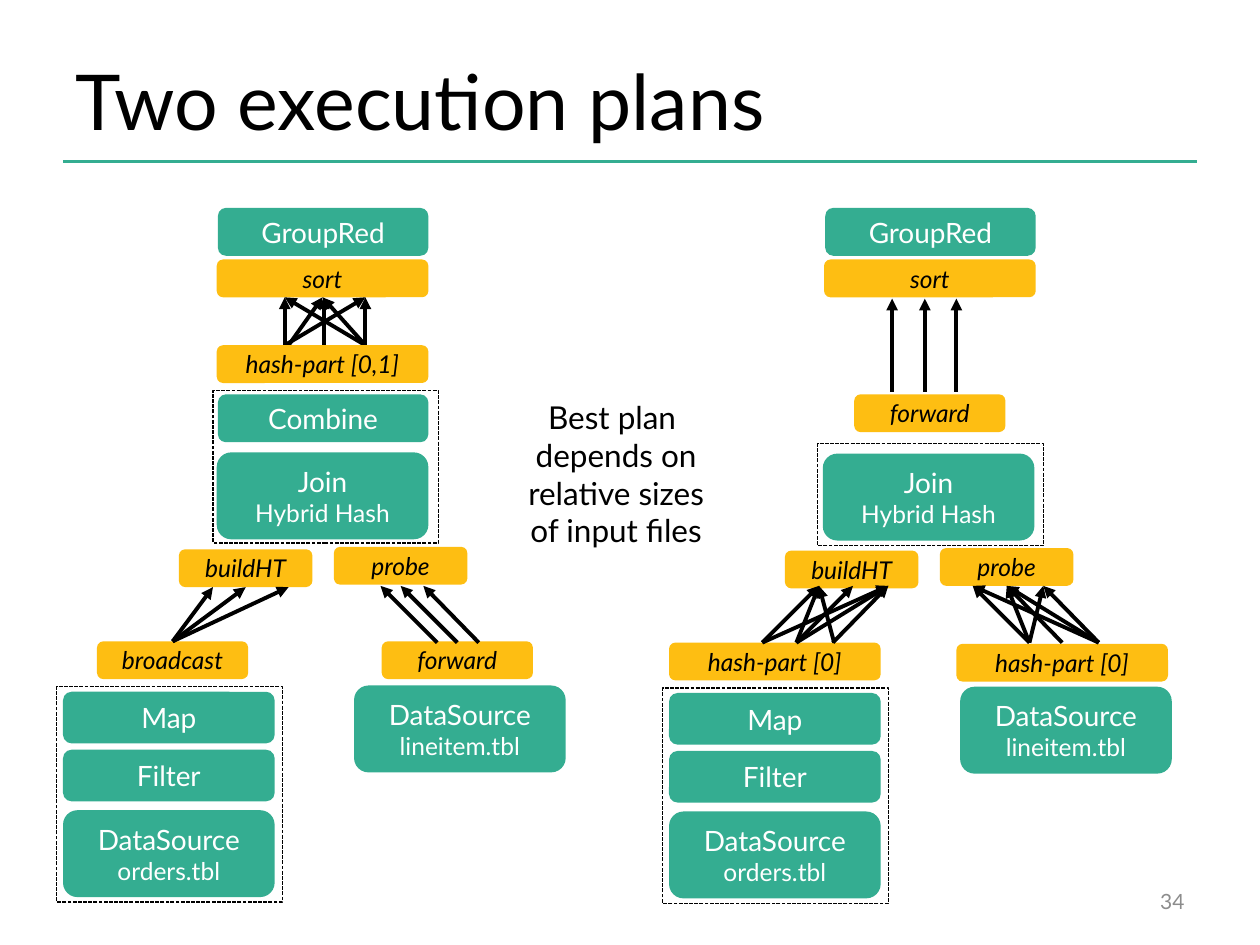
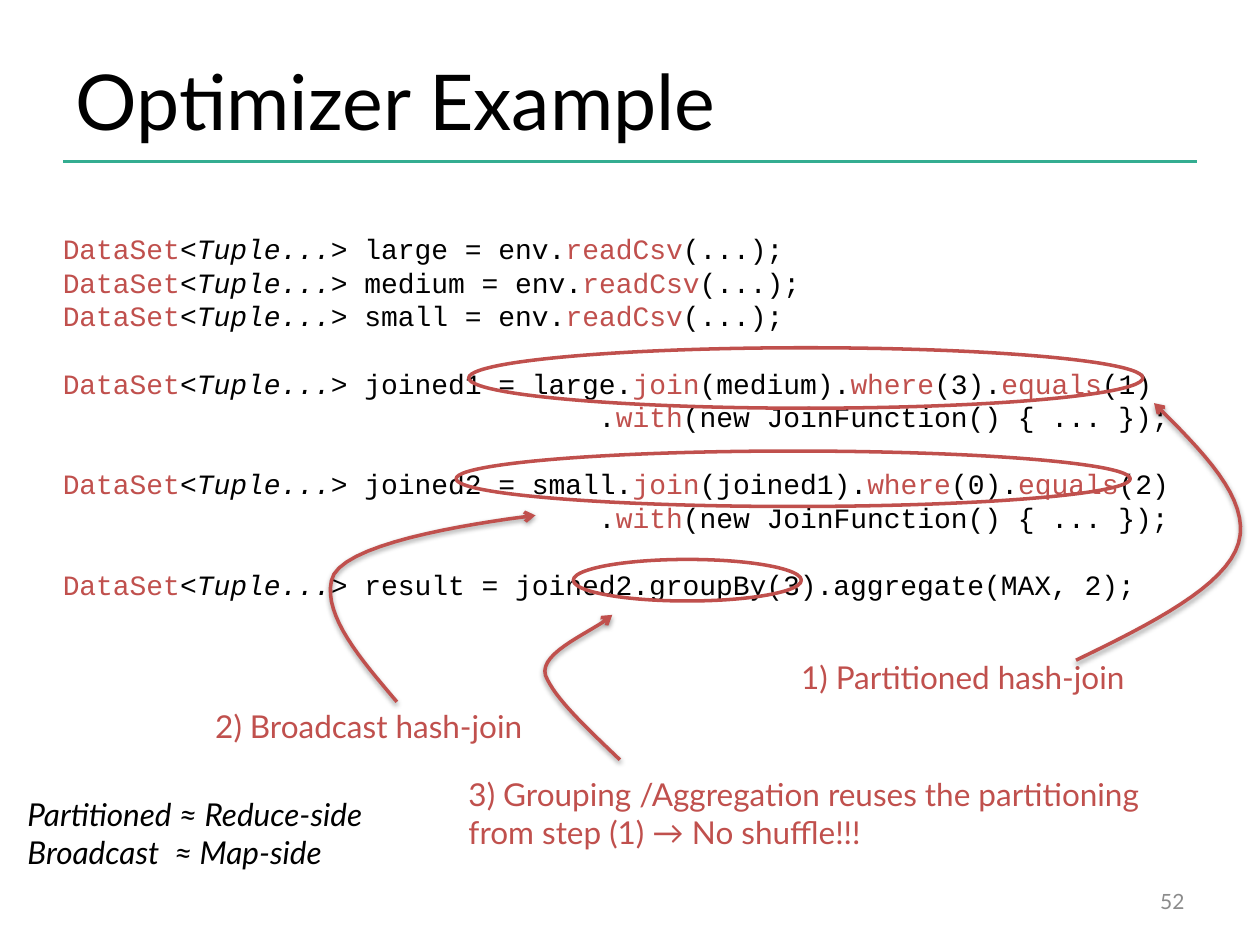
from lxml.etree import SubElement
from pptx import Presentation
from pptx.dml.color import RGBColor
from pptx.enum.dml import MSO_LINE
from pptx.enum.shapes import MSO_CONNECTOR, MSO_SHAPE
from pptx.enum.text import MSO_ANCHOR, PP_ALIGN
from pptx.oxml import parse_xml
from pptx.oxml.ns import nsdecls, qn
from pptx.util import Cm, Pt

GREEN, AMBER, RED = "34AD91", "FEBE12", "C0504D"
BLACK, WHITE, GREY = "000000", "FFFFFF", "8C8C8C"
SANS, MONO = "Lato", "Courier New"
CODE_LINE = 19.2
KEYWORDS = ("DataSet", "readCsv", "join", "where", "equals", "with")
CODE_STYLES = {word: {"color": RED} for word in KEYWORDS} | {"Tuple...": {"italic": True}}
CODE_BLOCKS = [
    [
        "DataSet|<|Tuple...|> large = env.|readCsv|(...);",
        "DataSet|<|Tuple...|> medium = env.|readCsv|(...);",
        "DataSet|<|Tuple...|> small = env.|readCsv|(...);",
    ],
    [
        "DataSet|<|Tuple...|> joined1 = large.|join|(medium).|where|(3).|equals|(1)",
        "                                .|with|(new JoinFunction() { ... });",
    ],
    [
        "DataSet|<|Tuple...|> joined2 = small.|join|(joined1).|where|(0).|equals|(2)",
        "                                .|with|(new JoinFunction() { ... });",
    ],
    ["DataSet|<|Tuple...|> result = joined2.groupBy(3).aggregate(MAX, 2);"],
]
SHADOW = (
    f'<a:effectLst {nsdecls("a")}><a:outerShdw blurRad="39370" dist="20320" dir="5400000" '
    'rotWithShape="0"><a:srgbClr val="000000"><a:alpha val="38000"/></a:srgbClr>'
    "</a:outerShdw></a:effectLst>"
)


def inch(value):
    """Turn inches on the slide grid into a length."""
    return Cm(round(value * 2.54, 3))


def rgb(value):
    """Turn a hex string into a colour."""
    return RGBColor.from_string(value)


def format_run(run, size=18, color=BLACK, font=SANS, italic=False):
    """Set the look of one run."""
    run.font.name, run.font.size, run.font.italic = font, Pt(size), italic
    run.font.color.rgb = rgb(color)


def write(paragraph, text, align=PP_ALIGN.LEFT, **style):
    """Put formatted text into a paragraph."""
    paragraph.text = text
    paragraph.alignment = align
    for run in paragraph.runs:
        format_run(run, **style)


def paragraphs(frame, count):
    """Give a text frame the wanted number of paragraphs."""
    while len(frame.paragraphs) < count:
        frame.add_paragraph()
    return frame.paragraphs


def curve_points(start, segments, steps=16):
    """List the points along joined cubic curves."""
    points = [start]
    for control_1, control_2, end in segments:
        begin = points[-1]
        for step in range(1, steps + 1):
            t = step / steps
            weights = ((1 - t) ** 3, 3 * t * (1 - t) ** 2, 3 * t * t * (1 - t), t ** 3)
            corners = (begin, control_1, control_2, end)
            points.append(tuple(sum(w * c[axis] for w, c in zip(weights, corners)) for axis in (0, 1)))
    return points


class Deck:
    """Hold the presentation, its style and the current slide."""

    def __init__(self):
        """Start an empty presentation."""
        self.presentation = Presentation()
        self.presentation.slide_width = inch(10)
        self.presentation.slide_height = inch(7.5)

    def start_slide(self, title, number):
        """Add a slide with its title, rule and number."""
        self.slide = self.presentation.slides.add_slide(self.presentation.slide_layouts[5])
        shape = self.slide.shapes.title
        shape.left, shape.top, shape.width, shape.height = map(inch, (0.5, 0.3, 9, 0.98))
        shape.text_frame.vertical_anchor = MSO_ANCHOR.MIDDLE
        write(shape.text_frame.paragraphs[0], title, size=44)
        self.line((0.5, 1.28), (9.5, 1.28), GREEN, 2)
        self.text((7.17, 6.95, 2.33, 0.4), [number], anchor=MSO_ANCHOR.MIDDLE,
                  align=PP_ALIGN.RIGHT, size=12, color=GREY)

    def style_line(self, line, color, width, head=None):
        """Set the colour, width and arrowhead of a line."""
        line.color.rgb = rgb(color)
        line.width = Pt(width)
        if head:
            SubElement(line._get_or_add_ln(), qn("a:tailEnd"), type=head)

    def line(self, start, end, color=BLACK, width=2.25, head=None):
        """Draw a straight line."""
        connector = self.slide.shapes.add_connector(
            MSO_CONNECTOR.STRAIGHT, *map(inch, (*start, *end)))
        self.style_line(connector.line, color, width, head)
        SubElement(connector._element.spPr, qn("a:effectLst"))

    def arrows(self, start_y, end_y, pairs):
        """Draw arrows between two levels, one for each pair of x values."""
        for start_x, end_x in pairs:
            self.line((start_x, start_y), (end_x, end_y), head="triangle")

    def text(self, place, lines, anchor=MSO_ANCHOR.TOP, wrap=True, **style):
        """Add a text box."""
        frame = self.slide.shapes.add_textbox(*map(inch, place)).text_frame
        frame.word_wrap = wrap
        frame.vertical_anchor = anchor
        for paragraph, line in zip(paragraphs(frame, len(lines)), lines):
            write(paragraph, line, **style)

    def code(self, place, blocks):
        """Add highlighted code with a gap between blocks."""
        frame = self.slide.shapes.add_textbox(*map(inch, place)).text_frame
        frame.word_wrap = True
        lines = [(line, row == 0 and block is not blocks[0])
                 for block in blocks for row, line in enumerate(block)]
        for paragraph, (line, gap) in zip(paragraphs(frame, len(lines)), lines):
            paragraph.line_spacing = Pt(CODE_LINE)
            if gap:
                paragraph.space_before = Pt(CODE_LINE)
            for piece in line.split("|"):
                run = paragraph.add_run()
                run.text = piece
                format_run(run, size=16, font=MONO, **CODE_STYLES.get(piece, {}))

    def box(self, place, fill, lines, sizes, **style):
        """Add a filled rounded box with centred text."""
        shape = self.slide.shapes.add_shape(MSO_SHAPE.ROUNDED_RECTANGLE, *map(inch, place))
        shape.shadow.inherit = False
        shape.fill.solid()
        shape.fill.fore_color.rgb = rgb(fill)
        shape.line.fill.background()
        frame = shape.text_frame
        frame.word_wrap = True
        frame.vertical_anchor = MSO_ANCHOR.MIDDLE
        for paragraph, line, size in zip(paragraphs(frame, len(lines)), lines, sizes):
            write(paragraph, line, align=PP_ALIGN.CENTER, size=size, **style)

    def operator(self, x, y, *lines, width=1.68, height=0.69):
        """Add a green operator box."""
        self.box((x, y, width, height), GREEN, lines, (16, 14), color=WHITE)

    def strategy(self, x, y, name, width=1.68):
        """Add an amber strategy box."""
        self.box((x, y, width, 0.3), AMBER, [name], (14,), italic=True)

    def outline(self, kind, place, color, width):
        """Add an unfilled shape."""
        shape = self.slide.shapes.add_shape(kind, *map(inch, place))
        shape.shadow.inherit = False
        shape.fill.background()
        self.style_line(shape.line, color, width)
        return shape

    def chain(self, *place):
        """Draw a dashed frame around chained operators."""
        shape = self.outline(MSO_SHAPE.RECTANGLE, place, BLACK, 0.75)
        shape.line.dash_style = MSO_LINE.SQUARE_DOT

    def curve(self, start, *segments):
        """Draw a curved arrow with a soft shadow."""
        points = [tuple(map(inch, point)) for point in curve_points(start, segments)]
        builder = self.slide.shapes.build_freeform(*points[0])
        builder.add_line_segments(points[1:], close=False)
        shape = builder.convert_to_shape()
        shape.fill.background()
        self.style_line(shape.line, RED, 2, "arrow")
        shape._element.spPr.append(parse_xml(SHADOW))

    def plan(self, x, y, top_x):
        """Draw the operators that both execution plans have."""
        self.operator(x, y + 0.98, "DataSource", "orders.tbl")
        self.operator(x, y + 0.5, "Filter", height=0.41)
        self.operator(x, y + 0.04, "Map", height=0.41)
        self.chain(x - 0.05, y, 1.79, 1.71)
        self.operator(x + 2.31, y - 0.01, "DataSource", "lineitem.tbl")
        self.operator(x + 1.22, y - 1.86, "Join", "Hybrid Hash")
        self.strategy(x + 0.92, y - 1.09, "buildHT", width=1.06)
        self.strategy(x + 2.15, y - 1.11, "probe", width=1.06)
        self.operator(top_x + 0.01, 1.65, "GroupRed", width=1.67, height=0.38)
        self.strategy(top_x, 2.06, "sort")


def execution_plans(deck):
    """Build the slide that compares two plans."""
    deck.start_slide("Two execution plans", "34")

    deck.plan(0.5, 5.45, 1.72)
    deck.strategy(0.77, 5.09, "broadcast", width=1.2)
    deck.strategy(3.03, 5.09, "forward", width=1.2)
    deck.operator(1.73, 3.13, "Combine", width=1.67, height=0.38)
    deck.chain(1.69, 3.1, 1.79, 1.21)
    deck.arrows(5.09, 4.66, [(1.37, x) for x in (1.69, 1.95, 2.29)])
    deck.arrows(5.1, 4.65, [(3.47, 3.02), (3.63, 3.18), (3.8, 3.36)])
    deck.arrows(2.74, 2.36, [(2.26, 2.26), (2.57, 2.57), (2.9, 2.9), (2.29, 2.56),
                             (2.26, 2.9), (2.9, 2.26), (2.9, 2.56)])
    deck.strategy(1.72, 2.74, "hash-part [0,1]")

    deck.plan(5.31, 5.46, 6.54)
    deck.strategy(5.31, 5.1, "hash-part [0]")
    deck.strategy(7.59, 5.11, "hash-part [0]")
    deck.chain(6.49, 3.52, 1.79, 0.81)
    deck.arrows(5.1, 4.65, [(6.05, 6.5), (6.32, 6.5), (6.62, 6.5), (6.32, 6.77),
                            (6.05, 7.05), (6.32, 7.05), (6.61, 7.05)])
    deck.arrows(5.1, 4.65, [(8.17, 7.72), (8.72, 7.72), (8.17, 7.99), (8.43, 7.99),
                            (8.72, 7.99), (8.17, 8.28), (8.72, 8.28)])
    deck.arrows(3.11, 2.37, [(x, x) for x in (7.08, 7.34, 7.59)])
    deck.strategy(6.78, 3.13, "forward", width=1.2)

    deck.text((4, 3.11, 1.78, 1.31), ["Best plan ", "depends on", "relative sizes of input files"],
              align=PP_ALIGN.CENTER)


def optimizer_example(deck):
    """Build the slide with the annotated program."""
    deck.start_slide("Optimizer Example", "52")
    deck.code((0.4, 1.79, 9.37, 3.06), CODE_BLOCKS)

    deck.text((6.26, 5.17, 3.07, 0.4), ["1) Partitioned hash-join"], color=RED)
    deck.text((3.62, 6.1, 5.87, 0.71),
              ["3) Grouping /Aggregation reuses the partitioning\nfrom step (1) → No shuffle!!!"],
              wrap=False, color=RED)
    deck.text((1.61, 5.56, 2.75, 0.4), ["2) Broadcast hash-join"], wrap=False, color=RED)
    deck.text((0.12, 6.26, 3.2, 0.71), ["Partitioned ≈ Reduce-side", "Broadcast  ≈ Map-side"],
              wrap=False, italic=True)

    for place in ((3.72, 2.76, 5.35, 0.48), (3.62, 3.58, 5.35, 0.44), (4.55, 4.44, 1.81, 0.33)):
        deck.outline(MSO_SHAPE.OVAL, place, RED, 2)

    deck.curve((8.54, 5.24), ((9.14, 4.95), (9.73, 4.65), (9.83, 4.31)),
               ((9.93, 3.96), (9.54, 3.58), (9.16, 3.2)))
    deck.curve((3.15, 5.57), ((2.86, 5.23), (2.57, 4.89), (2.63, 4.61)),
               ((2.68, 4.32), (3.7, 4.16), (4.25, 4.09)))
    deck.curve((4.92, 6.03), ((4.66, 5.78), (4.4, 5.54), (4.33, 5.36)),
               ((4.27, 5.17), (4.74, 5), (4.86, 4.88)))


def main():
    """Build and save the presentation."""
    deck = Deck()
    execution_plans(deck)
    optimizer_example(deck)
    deck.presentation.save("out.pptx")


if __name__ == "__main__":
    main()
